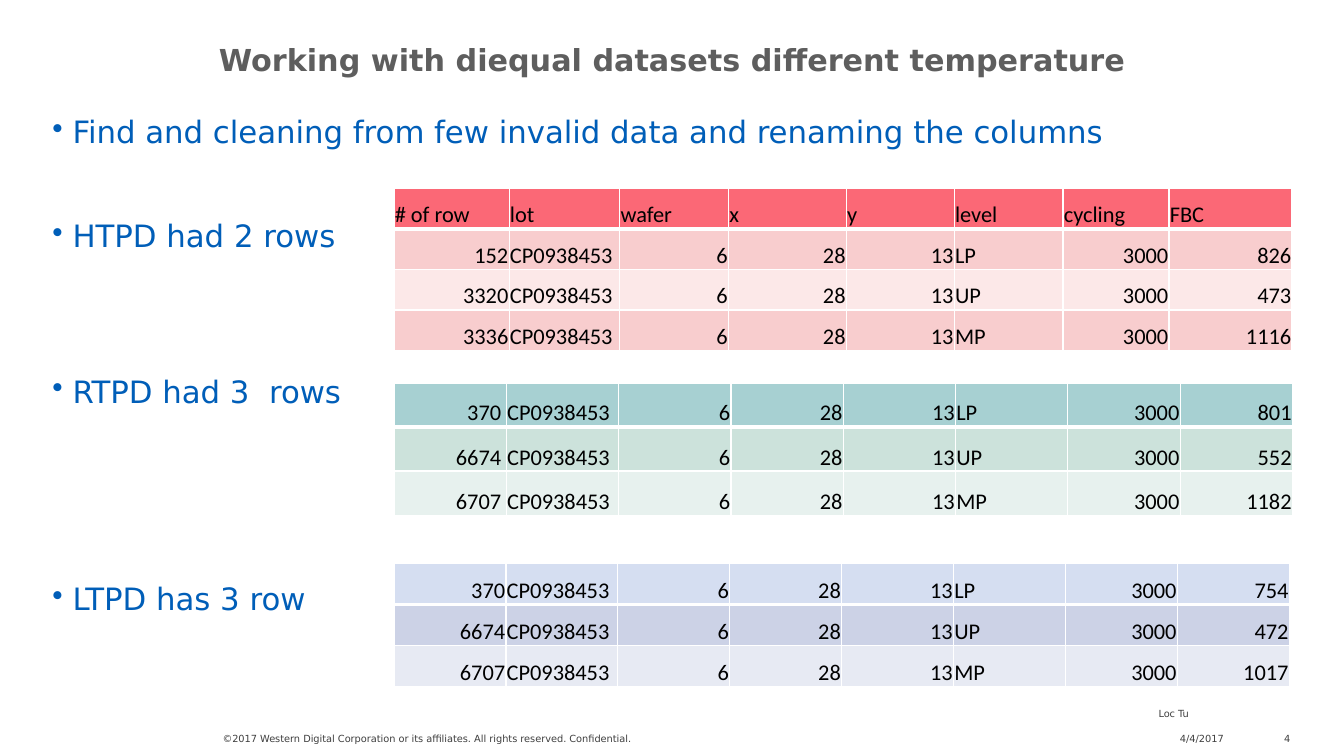
from dataclasses import dataclass

from lxml import etree
from pptx import Presentation
from pptx.dml.color import RGBColor
from pptx.enum.text import MSO_ANCHOR, PP_ALIGN
from pptx.oxml.ns import qn
from pptx.slide import Slide
from pptx.table import _Cell
from pptx.text.text import TextFrame, _Paragraph
from pptx.util import Cm, Pt

LEFT, CENTER, RIGHT = PP_ALIGN.LEFT, PP_ALIGN.CENTER, PP_ALIGN.RIGHT
TOP, MIDDLE, BOTTOM = MSO_ANCHOR.TOP, MSO_ANCHOR.MIDDLE, MSO_ANCHOR.BOTTOM

WHITE = RGBColor(0xFF, 0xFF, 0xFF)
BLACK = RGBColor(0x00, 0x00, 0x00)
BLUE = RGBColor(0x00, 0x5E, 0xB8)
TITLE_GREY = RGBColor(0x5E, 0x5E, 0x5E)
FOOTER_GREY = RGBColor(0x3F, 0x3F, 0x3F)
RED = RGBColor(0xFB, 0x68, 0x76)
ROSE = RGBColor(0xF8, 0xCD, 0xCE)
PALE_ROSE = RGBColor(0xFC, 0xE8, 0xE8)
TEAL = RGBColor(0xA7, 0xD0, 0xD2)
MINT = RGBColor(0xCC, 0xE2, 0xDB)
PALE_MINT = RGBColor(0xE7, 0xF1, 0xEE)
SKY = RGBColor(0xD5, 0xDE, 0xF1)
LAVENDER = RGBColor(0xCC, 0xD2, 0xE6)
PALE_LAVENDER = RGBColor(0xE7, 0xEA, 0xF3)

TEXT_FONT = "DejaVu Sans"
TABLE_FONT = "Calibri"
TABLE_LEFT = 9.93
CELL_MARGIN = 0.02
HEADER = ("# of row", "lot", "wafer", "x", "y", "level", "cycling", "FBC")
LEVELS = ("LP", "UP", "MP")
LEFT_COLUMNS = (1, 5)


@dataclass
class Label:
    text: str
    left: float
    top: float
    width: float
    height: float
    size: float = 7
    color: RGBColor = FOOTER_GREY
    align: PP_ALIGN = RIGHT
    anchor: MSO_ANCHOR = BOTTOM
    bold: bool = False


@dataclass
class Bullet:
    text: str
    space_before: float


@dataclass
class DataTable:
    top: float
    row_height: float
    widths: tuple[float, ...]
    row_numbers: tuple[int, ...]
    counts: tuple[int, ...]
    fills: tuple[RGBColor, ...]
    has_header: bool = False
    number_margin: float = CELL_MARGIN

    def rows(self) -> list[tuple[str, ...]]:
        records = [
            (str(number), "CP0938453", "6", "28", "13", level, "3000", str(count))
            for number, level, count in zip(self.row_numbers, LEVELS, self.counts)
        ]
        return [HEADER, *records] if self.has_header else records


LABELS = (
    Label("Working with diequal datasets different temperature",
          1.32, 1.02, 31.24, 0.97, 21.6, TITLE_GREY, CENTER, MIDDLE, True),
    Label("Loc Tu", 28.25, 17.63, 1.71, 0.51),
    Label("4/4/2017", 29.13, 18.24, 1.71, 0.51),
    Label("4", 31.83, 18.24, 0.69, 0.51),
    Label("©2017 Western Digital Corporation or its affiliates. "
          "All rights reserved. Confidential.",
          5.61, 18.24, 11.15, 0.51, align=LEFT),
)
BULLETS = (
    Bullet("Find and cleaning from few invalid data and renaming the columns", 0),
    Bullet("HTPD had 2 rows", 49),
    Bullet("RTPD had 3  rows", 86),
    Bullet("LTPD has 3 row", 123),
)
TABLES = (
    DataTable(4.75, 1.02, (2.9, 2.79, 2.74, 2.97, 2.72, 2.74, 2.67, 3.1),
              (152, 3320, 3336), (826, 473, 1116),
              (RED, ROSE, PALE_ROSE, ROSE), has_header=True),
    DataTable(9.65, 1.11, (2.83,) * 8, (370, 6674, 6707), (801, 552, 1182),
              (TEAL, MINT, PALE_MINT), number_margin=0.13),
    DataTable(14.2, 1.03, (2.82,) * 8, (370, 6674, 6707), (754, 472, 1017),
              (SKY, LAVENDER, PALE_LAVENDER)),
)


def add_frame(page: Slide, left: float, top: float, width: float, height: float,
              anchor: MSO_ANCHOR) -> TextFrame:
    box = page.shapes.add_textbox(Cm(left), Cm(top), Cm(width), Cm(height))
    frame = box.text_frame
    frame.word_wrap = True
    frame.vertical_anchor = anchor
    frame.margin_left = frame.margin_top = frame.margin_right = frame.margin_bottom = 0
    return frame


def set_font(para: _Paragraph, name: str, size: float, color: RGBColor,
             bold: bool = False) -> None:
    para.font.name = name
    para.font.size = Pt(size)
    para.font.bold = bold
    para.font.color.rgb = color


def add_label(page: Slide, label: Label) -> None:
    frame = add_frame(page, label.left, label.top, label.width, label.height, label.anchor)
    para = frame.paragraphs[0]
    para.text = label.text
    para.alignment = label.align
    set_font(para, TEXT_FONT, label.size, label.color, label.bold)


def add_bullets(page: Slide, bullets: tuple[Bullet, ...]) -> None:
    frame = add_frame(page, 1.32, 2.92, 31.24, 14.48, TOP)
    for index, bullet in enumerate(bullets):
        para = frame.add_paragraph() if index else frame.paragraphs[0]
        para.text = bullet.text
        para.line_spacing = 0.95
        para.space_before = Pt(bullet.space_before)
        properties = para._p.get_or_add_pPr()
        indent = Cm(0.51)
        properties.set("marL", str(indent))
        properties.set("indent", str(-indent))
        bullet_color = etree.SubElement(properties, qn("a:buClr"))
        etree.SubElement(bullet_color, qn("a:srgbClr"), val=str(BLUE))
        etree.SubElement(properties, qn("a:buChar"), char="•")
        set_font(para, TEXT_FONT, 22, BLUE)


def set_borders(cell: _Cell, top_width: float, bottom_width: float) -> None:
    properties = cell._tc.get_or_add_tcPr()
    widths = {"a:lnL": 1, "a:lnR": 1, "a:lnT": top_width, "a:lnB": bottom_width}
    for tag, width in widths.items():
        line = etree.SubElement(properties, qn(tag), w=str(Pt(width)))
        fill = etree.SubElement(line, qn("a:solidFill"))
        etree.SubElement(fill, qn("a:srgbClr"), val=str(WHITE))


def add_data_table(page: Slide, data: DataTable) -> None:
    rows = data.rows()
    table = page.shapes.add_table(
        len(rows), len(data.widths), Cm(TABLE_LEFT), Cm(data.top),
        Cm(sum(data.widths)), Cm(data.row_height * len(rows))).table
    table.first_row = False
    table.horz_banding = False
    for column, width in zip(table.columns, data.widths):
        column.width = Cm(width)
    for row_index, (values, fill) in enumerate(zip(rows, data.fills)):
        table.rows[row_index].height = Cm(data.row_height)
        is_header = data.has_header and row_index == 0
        for column_index, value in enumerate(values):
            cell = table.cell(row_index, column_index)
            set_borders(cell, 3 if row_index == 1 else 1, 3 if row_index == 0 else 1)
            cell.fill.solid()
            cell.fill.fore_color.rgb = fill
            cell.vertical_anchor = BOTTOM
            cell.margin_left = cell.margin_top = Cm(CELL_MARGIN)
            cell.margin_right = Cm(CELL_MARGIN if column_index else data.number_margin)
            cell.margin_bottom = 0
            para = cell.text_frame.paragraphs[0]
            para.text = value
            para.alignment = LEFT if is_header or column_index in LEFT_COLUMNS else RIGHT
            set_font(para, TABLE_FONT, 16, BLACK)


def main() -> None:
    deck = Presentation()
    deck.slide_width, deck.slide_height = Cm(33.87), Cm(19.05)
    page = deck.slides.add_slide(deck.slide_layouts[6])
    add_bullets(page, BULLETS)
    for label in LABELS:
        add_label(page, label)
    for data in TABLES:
        add_data_table(page, data)
    deck.save("out.pptx")


if __name__ == "__main__":
    main()
